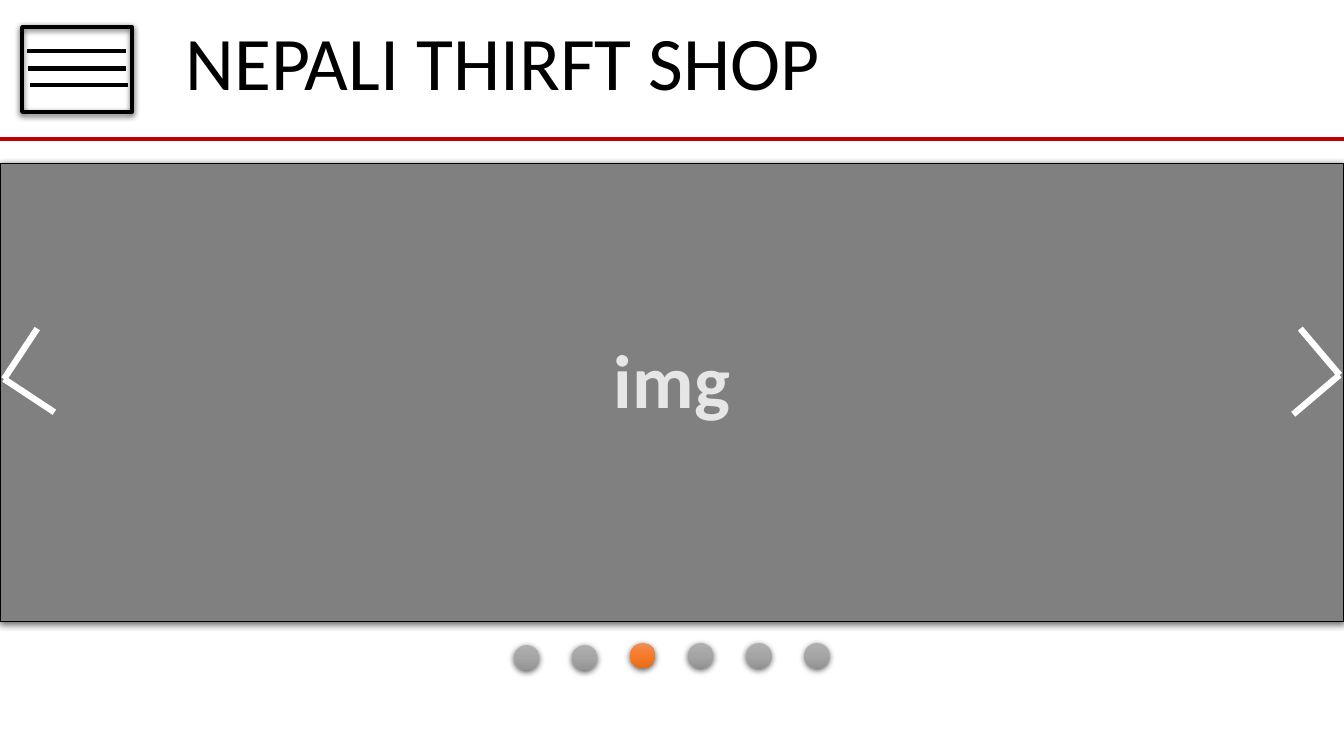
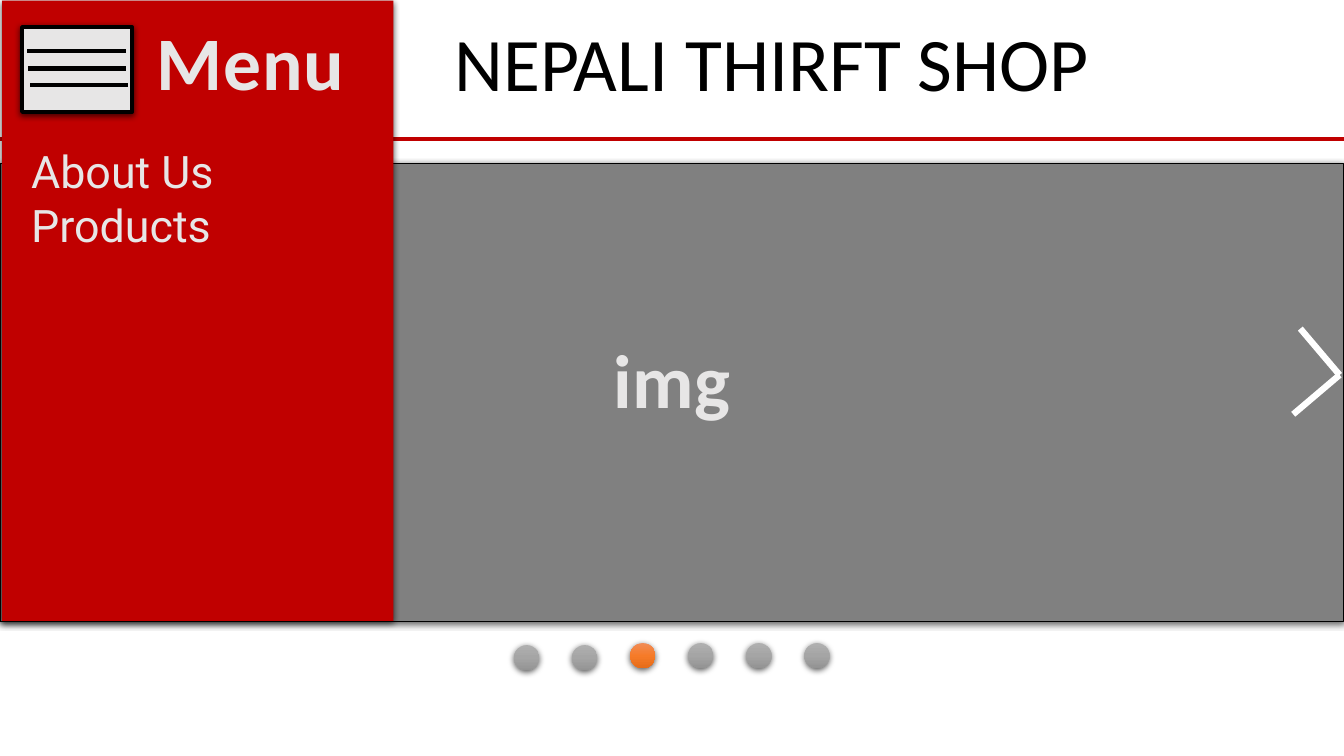
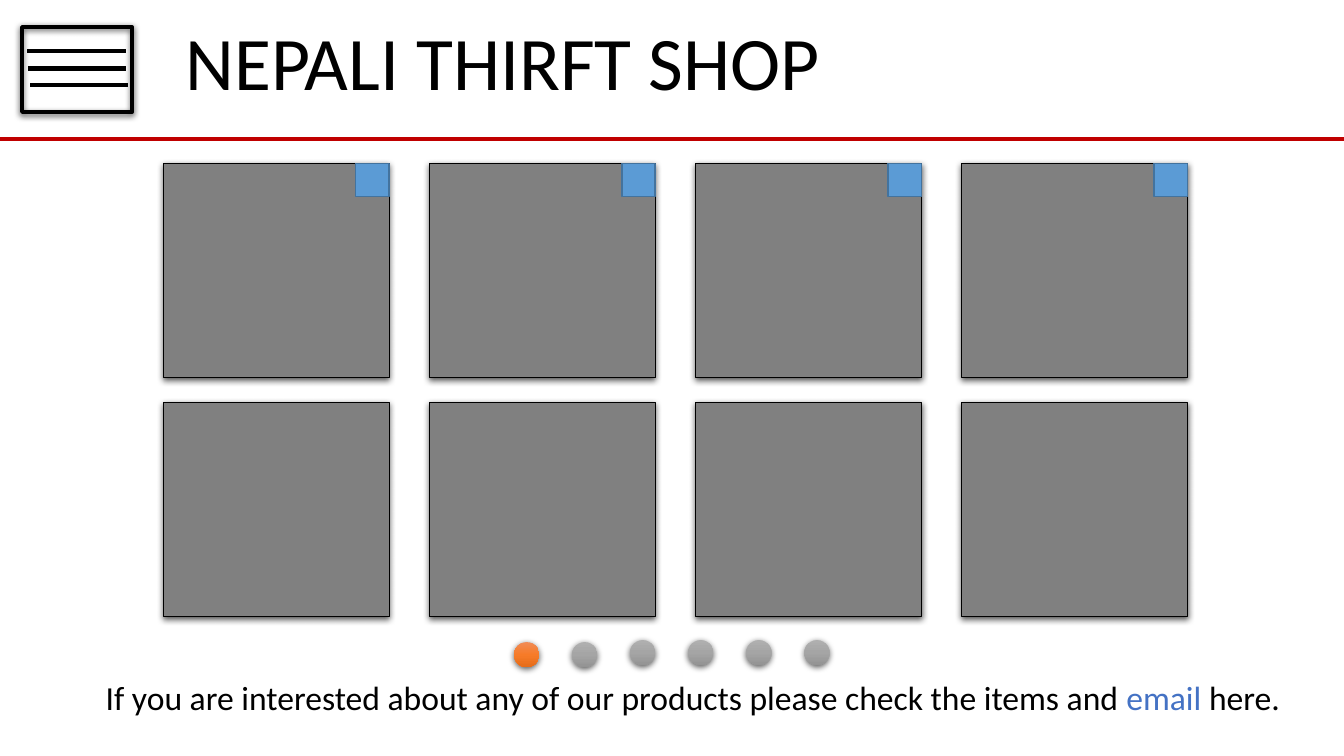
from copy import deepcopy

from lxml import etree
from pptx import Presentation
from pptx.dml.color import RGBColor
from pptx.enum.shapes import MSO_CONNECTOR, MSO_SHAPE
from pptx.enum.text import MSO_AUTO_SIZE, PP_ALIGN
from pptx.oxml.ns import qn
from pptx.util import Pt

RECTANGLE = MSO_SHAPE.RECTANGLE
OVAL = MSO_SHAPE.OVAL
STRAIGHT = MSO_CONNECTOR.STRAIGHT
FIT_TEXT = MSO_AUTO_SIZE.SHAPE_TO_FIT_TEXT
LEFT = PP_ALIGN.LEFT
CENTER = PP_ALIGN.CENTER

BLACK = RGBColor(0x00, 0x00, 0x00)
WHITE = RGBColor(0xFF, 0xFF, 0xFF)
RED = RGBColor(0xC0, 0x00, 0x00)
GRAY = RGBColor(0x80, 0x80, 0x80)
PALE = RGBColor(0xE7, 0xE6, 0xE6)
BADGE_BLUE = RGBColor(0x5B, 0x9B, 0xD5)
BADGE_EDGE = RGBColor(0x43, 0x73, 0x9E)
LINK_BLUE = RGBColor(0x44, 0x72, 0xC4)
ORANGE_STOPS = (
    RGBColor(0xF1, 0x8C, 0x57),
    RGBColor(0xF6, 0x7B, 0x28),
    RGBColor(0xE5, 0x6C, 0x19),
)
GRAY_STOPS = (
    RGBColor(0xAF, 0xAF, 0xAF),
    RGBColor(0xA5, 0xA5, 0xA5),
    RGBColor(0x93, 0x93, 0x93),
)

SLIDE_W, SLIDE_H = 960, 540
RULE_Y = 99.36
CONTENT_TOP = 116.64

TITLE = {"name": "Calibri", "size": Pt(54)}
STRONG = {"name": "Calibri", "size": Pt(54), "bold": True}
MENU_ITEM = {"name": "Roboto", "size": Pt(32)}
NOTE = {"name": "Calibri", "size": Pt(24)}

ICON_BOX = (15.84, 19.44, 78.48, 60.48)
ICON_BARS = ((3.6, 17.28, 70.56), (4.32, 29.52, 69.84), (5.76, 41.04, 69.84))
TITLE_BOX = (123.12, 7.2, 472.32, 72.72)
SHIFTED_TITLE_BOX = (315.36, 7.92, 472.32, 72.72)
HERO_BOX = (0, CONTENT_TOP, SLIDE_W, 327.6)
PREVIOUS_BOX = (2.88, 234.72, 36, 59.76)
PREVIOUS_POINTS = ((23.76, 0), (0, 36), (36, 59.76))
NEXT_BOX = (923.76, 234.72, 33.12, 61.2)
NEXT_POINTS = ((5.04, 0), (33.12, 33.12), (0, 61.2))
MENU_BOX = (1.5, 0.5, 279.5, 443)
GRID_BOX = (CONTENT_TOP, CONTENT_TOP, 731.52, 324)
NOTE_BOX = (68.4, 480.24, 930.24, 36)


def points(*lengths):
    return [Pt(length) for length in lengths]


def add_shadow(shape):
    effects = shape._element.spPr.find(qn("a:effectLst"))
    shadow = etree.SubElement(
        effects, qn("a:outerShdw"), blurRad="57150", dist="19050",
        dir="5400000", algn="ctr", rotWithShape="0")
    color = etree.SubElement(shadow, qn("a:srgbClr"), val="000000")
    etree.SubElement(color, qn("a:alpha"), val="63000")


def add_block(shapes, kind, box, fill=None, edge=None, weight=0, shadow=True):
    block = shapes.add_shape(kind, *points(*box))
    block.shadow.inherit = False
    if fill is None:
        block.fill.background()
    else:
        block.fill.solid()
        block.fill.fore_color.rgb = fill
    if edge is None:
        block.line.fill.background()
    else:
        block.line.color.rgb = edge
        block.line.width = Pt(weight)
    if shadow:
        add_shadow(block)
    return block


def add_line(shapes, start, end, color, weight):
    line = shapes.add_connector(STRAIGHT, *points(*start, *end))
    line.line.color.rgb = color
    line.line.width = Pt(weight)
    etree.SubElement(line._element.spPr, qn("a:effectLst"))


def add_text(slide, box, paragraphs, style, align=LEFT, wrap=False, spacing=None):
    frame = slide.shapes.add_textbox(*points(*box)).text_frame
    frame.word_wrap = wrap
    frame.auto_size = FIT_TEXT
    for index, runs in enumerate(paragraphs):
        paragraph = frame.add_paragraph() if index else frame.paragraphs[0]
        paragraph.alignment = align
        for words, color in runs:
            run = paragraph.add_run()
            run.text = words
            for attribute, value in style.items():
                setattr(run.font, attribute, value)
            run.font.color.rgb = color
            if spacing:
                run._r.get_or_add_rPr().set("spc", str(spacing))


def add_menu_icon(slide, box, fill=None):
    left, top = box[:2]
    icon = slide.shapes.add_group_shape().shapes
    add_block(icon, RECTANGLE, box, fill, BLACK, 3)
    for x, y, width in ICON_BARS:
        add_line(icon, (left + x, top + y), (left + x + width, top + y), BLACK, 3)


def add_header_rule(slide):
    add_line(slide.shapes, (0, RULE_Y), (SLIDE_W, RULE_Y), RED, 3)


def add_shop_name(slide, box):
    add_text(slide, box, [[("NEPALI THIRFT SHOP", BLACK)]], TITLE, CENTER)


def add_header(slide):
    add_header_rule(slide)
    add_menu_icon(slide, ICON_BOX)
    add_shop_name(slide, TITLE_BOX)


def add_hero(slide, box):
    add_block(slide.shapes, RECTANGLE, box, GRAY, BLACK, 0.75)


def add_hero_label(slide, box):
    left, top, width, height = box
    label_w, label_h = 99.36, 72.72
    label = (left + (width - label_w) / 2, top + (height - label_h) / 2 - 10, label_w, label_h)
    add_text(slide, label, [[("img", PALE)]], STRONG, CENTER, spacing=50)


def add_chevron(slide, box, corners):
    left, top = box[:2]
    upper, tip, lower = [(left + x, top + y) for x, y in corners]
    chevron = slide.shapes.add_group_shape().shapes
    add_line(chevron, upper, tip, WHITE, 4.5)
    add_line(chevron, lower, tip, WHITE, 4.5)


def add_page_dots(slide, left, top, active, count=6, size=18, pitch=41.47, drop=1.44):
    dots = slide.shapes.add_group_shape().shapes
    for index in range(count):
        y = top + drop if index < 2 else top
        dot = add_block(dots, OVAL, (left + index * pitch, y, size, size))
        dot.fill.gradient()
        dot.fill.gradient_angle = 270
        stop_list = dot._element.spPr.find(".//" + qn("a:gsLst"))
        stop_list.append(deepcopy(stop_list[0]))
        colors = ORANGE_STOPS if index == active else GRAY_STOPS
        for stop, position, color in zip(dot.fill.gradient_stops, (0, 0.5, 1), colors):
            stop.position = position
            stop.color.rgb = color


def add_menu_panel(slide, box):
    left, top = box[:2]
    add_block(slide.shapes, RECTANGLE, box, RED)
    add_menu_icon(slide, ICON_BOX, PALE)
    add_text(slide, (left + 102.18, top + 6.7, 150.48, 72.72),
             [[("Menu", PALE)]], STRONG, CENTER, spacing=50)
    add_text(slide, (left + 13.62, top + 98.86, 228.96, 84.96),
             [[("About Us", PALE)], [("Products", PALE)]], MENU_ITEM, wrap=True)


def add_product_grid(slide, box, columns=4, rows=2, gap_x=28.8, gap_y=17.28, badge=23.76):
    left, top, width, height = box
    card_w = (width - (columns - 1) * gap_x) / columns
    card_h = (height - (rows - 1) * gap_y) / rows
    for row in range(rows):
        for column in range(columns):
            x = left + column * (card_w + gap_x)
            y = top + row * (card_h + gap_y)
            add_block(slide.shapes, RECTANGLE, (x, y, card_w, card_h), GRAY, BLACK, 0.75)
            if row == 0:
                add_block(slide.shapes, RECTANGLE, (x + card_w - badge, y, badge, badge),
                          BADGE_BLUE, BADGE_EDGE, 1, shadow=False)


def build_home(slide):
    add_header(slide)
    add_hero(slide, HERO_BOX)
    add_chevron(slide, PREVIOUS_BOX, PREVIOUS_POINTS)
    add_chevron(slide, NEXT_BOX, NEXT_POINTS)
    add_hero_label(slide, HERO_BOX)
    add_page_dots(slide, 367.2, 459.36, active=2)


def build_open_menu(slide):
    add_header_rule(slide)
    add_hero(slide, HERO_BOX)
    add_shop_name(slide, SHIFTED_TITLE_BOX)
    add_chevron(slide, NEXT_BOX, NEXT_POINTS)
    add_hero_label(slide, HERO_BOX)
    add_page_dots(slide, 367.2, 459.36, active=2)
    add_menu_panel(slide, MENU_BOX)


def build_products(slide):
    add_header(slide)
    add_product_grid(slide, GRID_BOX)
    add_page_dots(slide, 367.2, 457.2, active=0)
    note = [
        ("If you are interested about any of our products please check the items and ", BLACK),
        ("email", LINK_BLUE),
        (" here.", BLACK),
    ]
    add_text(slide, NOTE_BOX, [note], NOTE, wrap=True)


def main():
    deck = Presentation()
    deck.slide_width, deck.slide_height = points(SLIDE_W, SLIDE_H)
    blank = deck.slide_layouts[6]
    for build in (build_home, build_open_menu, build_products):
        build(deck.slides.add_slide(blank))
    deck.save("out.pptx")


if __name__ == "__main__":
    main()
